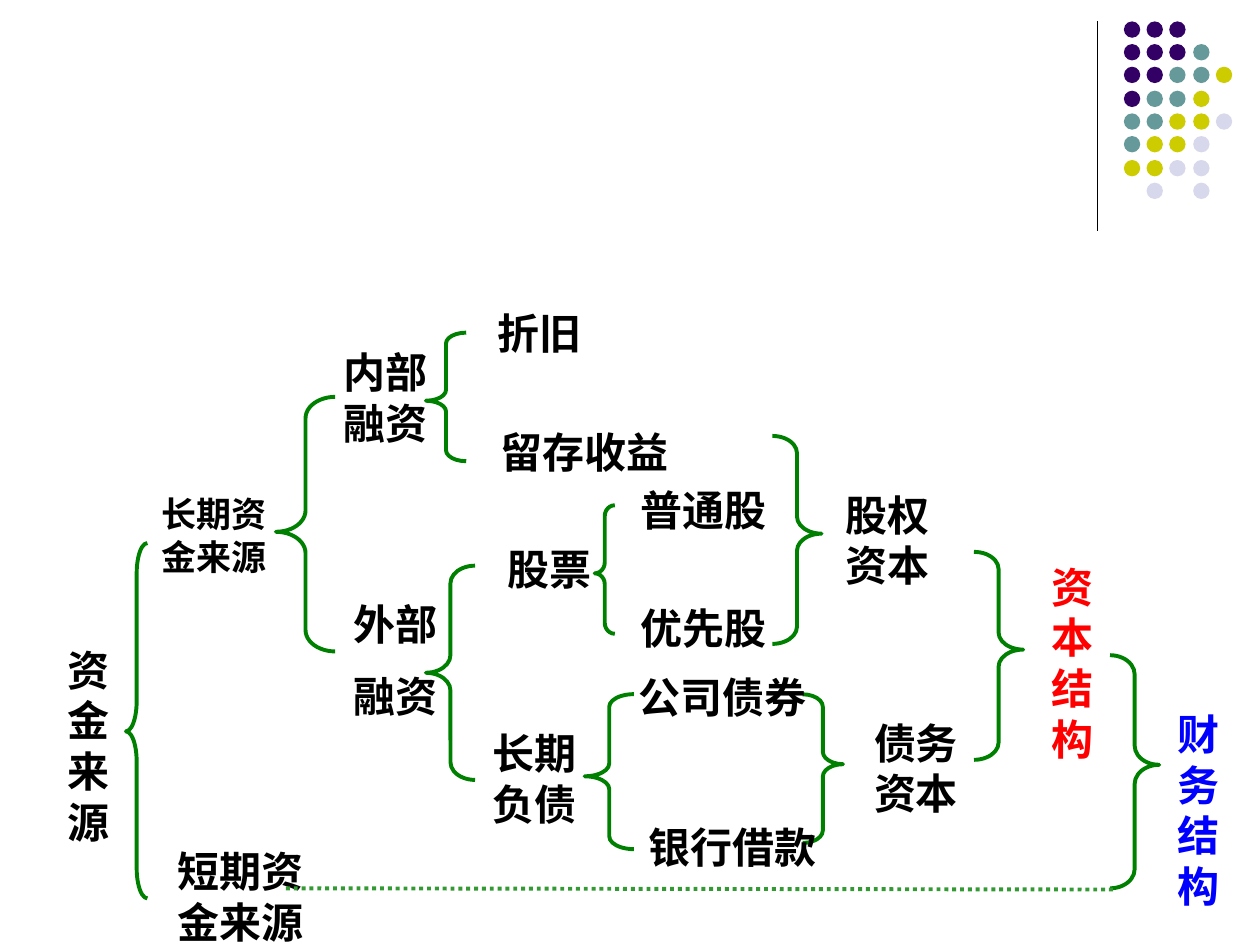
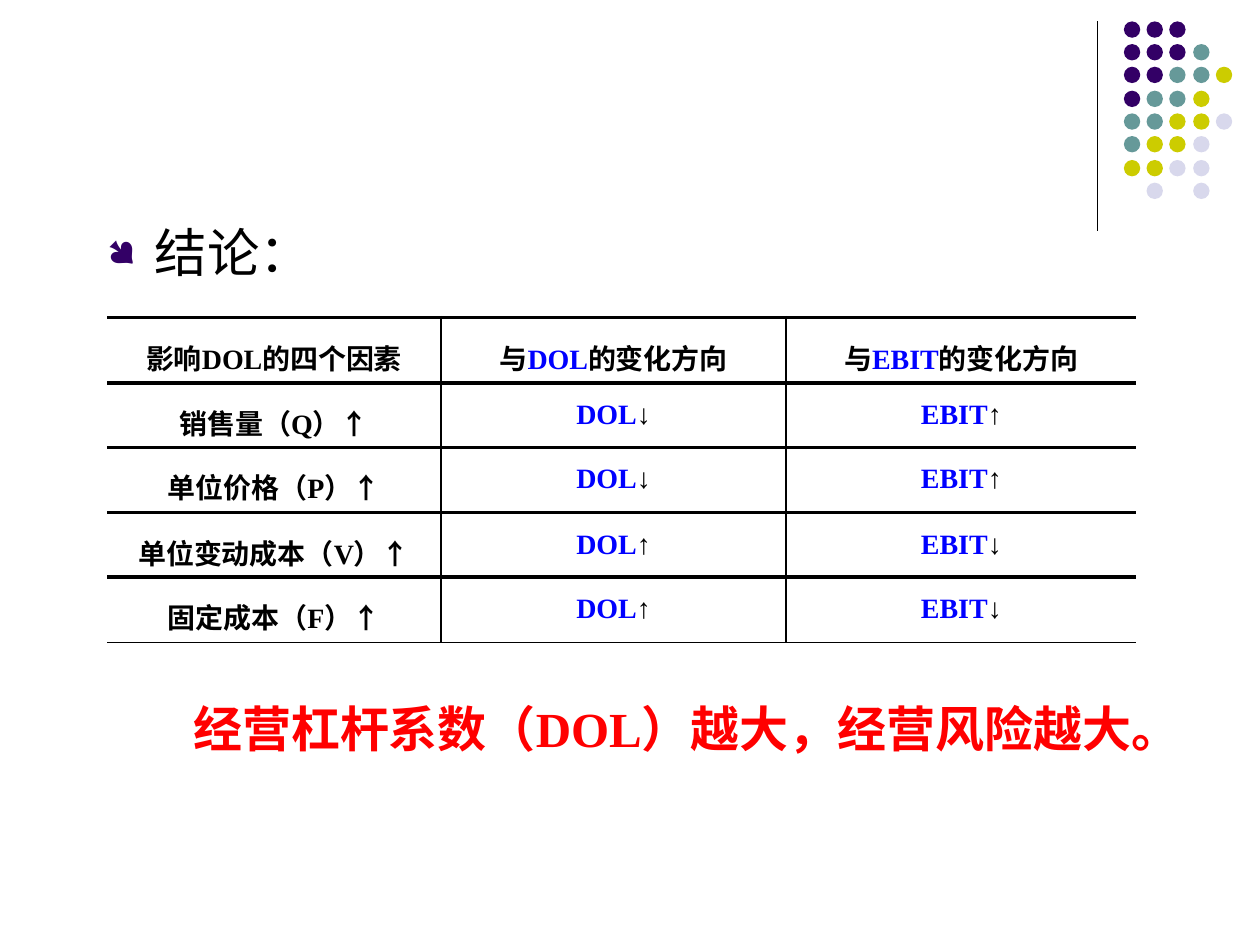
from lxml.etree import SubElement
from pptx import Presentation
from pptx.dml.color import RGBColor
from pptx.enum.dml import MSO_LINE
from pptx.enum.shapes import MSO_CONNECTOR, MSO_SHAPE
from pptx.enum.text import MSO_ANCHOR, PP_ALIGN
from pptx.oxml.ns import qn
from pptx.util import Pt

SCALE = 9144
LATIN, CJK = "Times New Roman", "Noto Sans CJK SC"
BLACK = RGBColor(0x00, 0x00, 0x00)
RED = RGBColor(0xFF, 0x00, 0x00)
BLUE = RGBColor(0x00, 0x00, 0xFF)
GREEN = RGBColor(0x00, 0x80, 0x00)
LIGHT_GREEN = RGBColor(0x33, 0x99, 0x33)
PURPLE = RGBColor(0x33, 0x00, 0x66)
DOT_COLORS = {"P": PURPLE, "T": RGBColor(0x66, 0x99, 0x99),
              "Y": RGBColor(0xCC, 0xCC, 0x00), "L": RGBColor(0xD8, 0xD8, 0xEC)}
DOT_ROWS = ["PPP", "PPPT", "PPTTY", "PTTY", "TTYYL", "TYYL", "YYLL", " L L"]

LABELS = [
    ("资金来源", (44, 505, 47, 170), {}),
    ("长期资金来源", (111, 385, 118, 77), {"size": 20}),
    ("短期资金来源", (124, 665, 134, 91), {}),
    ("内部融资", (259, 269, 94, 77), {}),
    ("外部\n融资", (259, 469, 110, 93), {}),
    ("折旧", (369, 238, 118, 43), {}),
    ("留存收益", (369, 332, 189, 43), {}),
    ("股票", (377, 425, 118, 43), {}),
    ("长期负债", (377, 571, 95, 77), {}),
    ("普通股", (487, 378, 142, 43), {}),
    ("优先股", (487, 472, 142, 43), {}),
    ("股权资本", (653, 382, 102, 77), {}),
    ("公司债券", (495, 527, 157, 43), {}),
    ("银行借款", (495, 646, 173, 43), {}),
    ("债务资本", (680, 563, 94, 77), {}),
    ("资本结构", (820, 439, 63, 172), {"color": RED}),
    ("财务结构", (920, 556, 63, 172), {"color": BLUE}),
]
OPENING_BRACES = [
    ((100, 431, 17, 282), 1.41, 0.53),
    ((219, 315, 47, 202), 0.36, 0.53),
    ((338, 264, 32, 102), 0.27, 0.53),
    ((338, 449, 39, 170), 0.36, 0.5),
    ((472, 401, 16, 102), 0.54, 0.53),
    ((464, 551, 39, 123), 0.26, 0.53),
]
CLOSING_BRACES = [
    ((613, 346, 39, 165), 0.35, 0.53),
    ((637, 551, 32, 118), 0.31, 0.53),
    ((773, 438, 39, 165), 0.35, 0.53),
    ((881, 520, 39, 185), 0.39, 0.53),
]
FACTORS = [
    ("销售量（Q）↑", "↓", "↑"),
    ("单位价格（P）↑", "↓", "↑"),
    ("单位变动成本（V）↑", "↑", "↓"),
    ("固定成本（F）↑", "↑", "↓"),
]


def px(*lengths):
    """Turn whole px lengths into EMU."""
    return [length * SCALE for length in lengths]


def apply(target, values):
    """Set every attribute named in a dict of format values."""
    for attribute, value in values.items():
        setattr(target, attribute, value)


def write(paragraph, runs, size, leading, align=PP_ALIGN.CENTER, bold=True, latin=LATIN):
    """Fill a paragraph with (text, color) runs at a fixed line height in points."""
    apply(paragraph, {"alignment": align, "line_spacing": Pt(leading),
                      "space_before": Pt(0), "space_after": Pt(0)})
    for text, color in runs:
        run = paragraph.add_run()
        run.text = text
        apply(run.font, {"name": latin, "size": Pt(size), "bold": bold})
        run.font.color.rgb = color
        SubElement(run.font.fill._xPr, qn("a:ea")).set("typeface", CJK)


def add_label(slide, text, box, size=24, color=BLACK, leading=None):
    """Place centred bold text, one paragraph per line of the string."""
    frame = slide.shapes.add_textbox(*px(*box)).text_frame
    apply(frame, {"word_wrap": True, "margin_top": 6 * SCALE,
                  "vertical_anchor": MSO_ANCHOR.TOP})
    for index, line in enumerate(text.split("\n")):
        paragraph = frame.add_paragraph() if index else frame.paragraphs[0]
        write(paragraph, [(line, color)], size, leading or round(size * 1.21, 1))
        if index:
            paragraph.space_before = Pt(size / 2)


def add_line(slide, ends, color, width, dash=None):
    """Draw a straight line without shadow."""
    line = slide.shapes.add_connector(MSO_CONNECTOR.STRAIGHT, *px(*ends))
    line.line.color.rgb = color
    apply(line.line, {"width": Pt(width), "dash_style": dash})
    SubElement(line.element.spPr, qn("a:effectLst"))
    return line


def add_brace(slide, box, curl, tip, rotation):
    """Draw a green curly brace."""
    brace = slide.shapes.add_shape(MSO_SHAPE.LEFT_BRACE, *px(*box))
    brace.adjustments[0], brace.adjustments[1] = curl, tip
    brace.rotation = rotation
    brace.shadow.inherit = False
    brace.fill.background()
    brace.line.color.rgb = GREEN
    brace.line.width = Pt(2.25)


def decorate_master(master, slide, box):
    """Draw the corner line and dot pattern and move them to the master."""
    left, top, height = box
    rule = add_line(slide, (left, top, left, top + height), BLACK, 0.75)
    dots = slide.shapes.add_group_shape()
    for row, pattern in enumerate(DOT_ROWS):
        for column, key in enumerate(pattern):
            if key == " ":
                continue
            place = (left + 21 + column * 55 // 3, top + row * 55 // 3, 13, 13)
            dot = dots.shapes.add_shape(MSO_SHAPE.OVAL, *px(*place))
            dot.shadow.inherit = False
            dot.fill.solid()
            dot.fill.fore_color.rgb = DOT_COLORS[key]
            dot.line.fill.background()
    for part in (rule, dots):
        master.shapes.element.append(part.element)
    for number, properties in enumerate(master.element.iter(qn("p:cNvPr")), 1):
        properties.set("id", str(number))


def build_funding_tree(slide):
    """Draw the tree from sources of funds to financial structure."""
    for braces, rotation in ((OPENING_BRACES, 0), (CLOSING_BRACES, 180)):
        for box, curl, tip in braces:
            add_brace(slide, box, curl, tip, rotation)
    for text, box, style in LABELS:
        add_label(slide, text, box, **style)
    add_line(slide, (227, 705, 884, 706), LIGHT_GREEN, 2.25, MSO_LINE.ROUND_DOT)


def add_conclusion(body, box):
    """Write the bulleted heading into the body placeholder."""
    apply(body, dict(zip(("left", "top", "width", "height"), px(*box))))
    paragraph = body.text_frame.paragraphs[0]
    write(paragraph, [("结论：", BLACK)], 30, 38, PP_ALIGN.LEFT, False, CJK)
    properties = paragraph._p.get_or_add_pPr()
    properties.set("marL", str(38 * SCALE))
    properties.set("indent", str(-38 * SCALE))
    bullet_color = SubElement(properties, qn("a:buClr"))
    SubElement(bullet_color, qn("a:srgbClr")).set("val", str(PURPLE))
    for tag, name, value in (("a:buSzPct", "val", "70000"),
                             ("a:buFont", "typeface", "Wingdings"),
                             ("a:buChar", "char", "●")):
        SubElement(properties, qn(tag)).set(name, value)


def set_borders(cell, widths):
    """Give a cell its left, right, top and bottom borders in points."""
    properties = cell._tc.get_or_add_tcPr()
    for side, width in zip("LRTB", widths):
        border = SubElement(properties, qn(f"a:ln{side}"), w=str(Pt(width)))
        if width:
            fill = SubElement(border, qn("a:solidFill"))
            SubElement(fill, qn("a:srgbClr")).set("val", str(BLACK))
        else:
            SubElement(border, qn("a:noFill"))


def add_factor_table(slide, box):
    """Build the table of factors and their directions of change."""
    measures = ("DOL", "EBIT")
    header = [[("影响DOL的四个因素", BLACK)]]
    header += [[("与", BLACK), (name, BLUE), ("的变化方向", BLACK)] for name in measures]
    rows = [header]
    for factor, *arrows in FACTORS:
        rows.append([[(factor, BLACK)]] + [[(name, BLUE), (arrow, BLACK)]
                                         for name, arrow in zip(measures, arrows)])
    table = slide.shapes.add_table(len(rows), 3, *px(*box)).table
    apply(table, {"first_row": False, "horz_banding": False})
    for column, width in zip(table.columns, px(265, 274, 278)):
        column.width = width
    for row, height in zip(table.rows, px(52, 51, 52, 51, 52)):
        row.height = height
    last_row, last_column = len(rows) - 1, len(header) - 1
    for r, row in enumerate(rows):
        for c, runs in enumerate(row):
            cell = table.cell(r, c)
            set_borders(cell, (1 if c else 0, 1 if c < last_column else 0,
                               2.25, 2.25 if r < last_row else 1))
            cell.fill.background()
            apply(cell, {"margin_bottom": 0, "vertical_anchor": MSO_ANCHOR.TOP})
            write(cell.text_frame.paragraphs[0], runs, 16, 23.6 if r and c else 30.5)


def build_leverage_conclusion(slide):
    """Lay out the heading, factor table and closing statement."""
    title = slide.shapes.title.element
    title.getparent().remove(title)
    add_conclusion(slide.placeholders[1], (75, 167, 850, 192))
    add_factor_table(slide, (85, 252, 817, 258))
    add_label(slide, "经营杠杆系数（DOL）越大，经营风险越大。",
              (120, 545, 850, 60), size=28, color=RED, leading=36)


def main():
    """Build and save the presentation."""
    deck = Presentation()
    deck.slide_width, deck.slide_height = px(1000, 750)
    tree = deck.slides.add_slide(deck.slide_layouts[6])
    decorate_master(deck.slide_master, tree, (871, 17, 166))
    build_funding_tree(tree)
    build_leverage_conclusion(deck.slides.add_slide(deck.slide_layouts[1]))
    deck.save("out.pptx")


if __name__ == "__main__":
    main()
